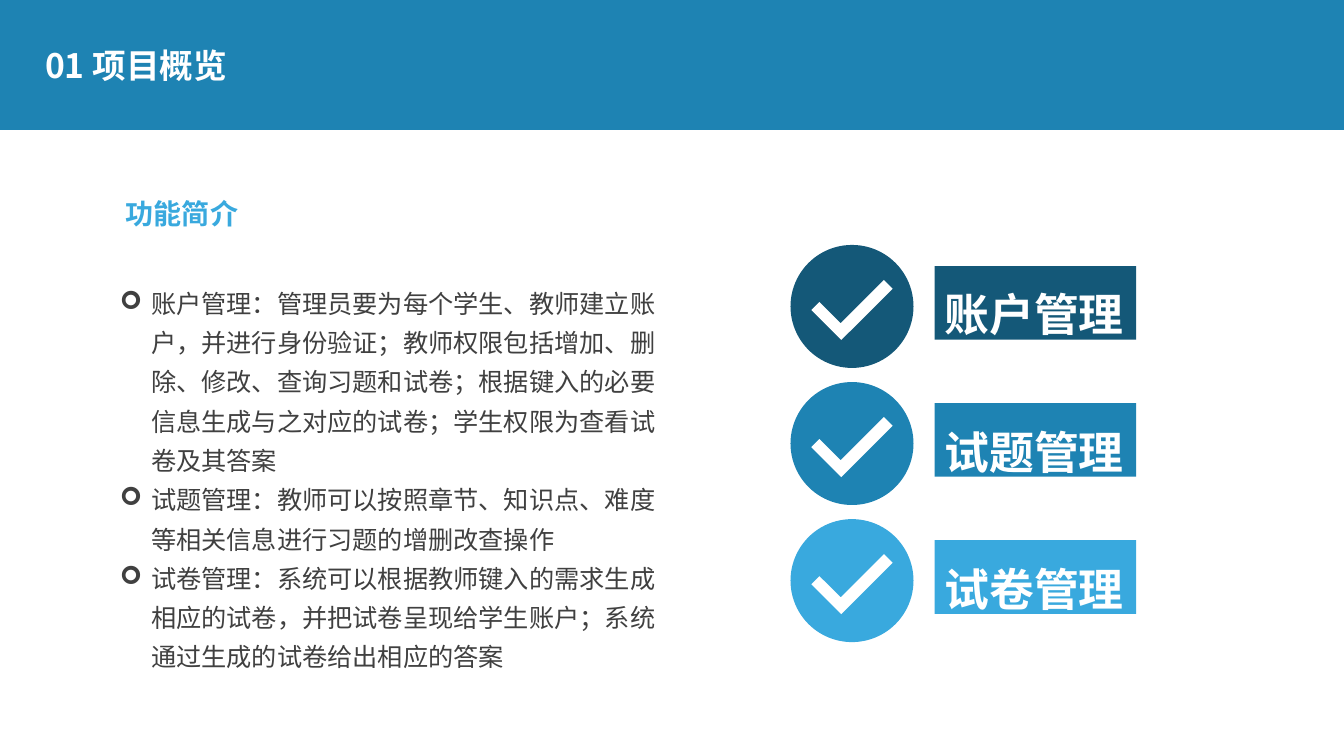
from dataclasses import dataclass

from lxml import etree
from pptx import Presentation
from pptx.dml.color import RGBColor
from pptx.enum.shapes import MSO_SHAPE
from pptx.enum.text import MSO_ANCHOR, MSO_AUTO_SIZE, PP_ALIGN
from pptx.oxml.ns import qn
from pptx.shapes.autoshape import Shape
from pptx.slide import Slide
from pptx.util import Inches, Pt

RECTANGLE = MSO_SHAPE.RECTANGLE
OVAL = MSO_SHAPE.OVAL
CORNER = MSO_SHAPE.CORNER
TOP = MSO_ANCHOR.TOP
MIDDLE = MSO_ANCHOR.MIDDLE
GROW = MSO_AUTO_SIZE.SHAPE_TO_FIT_TEXT
FIXED = MSO_AUTO_SIZE.NONE
LEFT = PP_ALIGN.LEFT

WHITE = RGBColor(0xFF, 0xFF, 0xFF)
NAVY = RGBColor(0x14, 0x58, 0x78)
BLUE = RGBColor(0x1E, 0x83, 0xB3)
SKY = RGBColor(0x39, 0xA9, 0xDE)
GRAY = RGBColor(0x40, 0x40, 0x40)

FONT = "Noto Sans CJK SC"
BULLET = "➢"
BULLET_INDENT = Inches(0.31)
FEATURE_TOP = 2.43
FEATURE_PITCH = 1.36


@dataclass(frozen=True)
class Feature:
    label: str
    color: RGBColor


FEATURES = [
    Feature("账户管理", NAVY),
    Feature("试题管理", BLUE),
    Feature("试卷管理", SKY),
]

DESCRIPTIONS = [
    "账户管理：管理员要为每个学生、教师建立账户，并进行身份验证；教师权限包括增加、删除、修改、查询习题和试卷；"
    "根据键入的必要信息生成与之对应的试卷；学生权限为查看试卷及其答案",
    "试题管理：教师可以按照章节、知识点、难度等相关信息进行习题的增删改查操作",
    "试卷管理：系统可以根据教师键入的需求生成相应的试卷，并把试卷呈现给学生账户；系统通过生成的试卷给出相应的答案",
]


def write_text(shape: Shape, lines: list[str], *, size: float, color: RGBColor,
               bold: bool = False, spacing: float = 1.3, bullet: str = "",
               wrap: bool = False, anchor: MSO_ANCHOR = TOP,
               auto_size: MSO_AUTO_SIZE = GROW) -> None:
    frame = shape.text_frame
    frame.word_wrap = wrap
    frame.auto_size = auto_size
    frame.vertical_anchor = anchor
    for index, line in enumerate(lines):
        paragraph = frame.paragraphs[0] if index == 0 else frame.add_paragraph()
        paragraph.alignment = LEFT
        paragraph.line_spacing = spacing
        if bullet:
            properties = paragraph._p.get_or_add_pPr()
            properties.set("marL", str(BULLET_INDENT))
            properties.set("indent", str(-BULLET_INDENT))
            etree.SubElement(properties, qn("a:buFont"), typeface="Wingdings")
            etree.SubElement(properties, qn("a:buChar"), char=bullet)
        run = paragraph.add_run()
        run.text = line
        run.font.size = Pt(size)
        run.font.bold = bold
        run.font.color.rgb = color
        run.font.name = FONT
        etree.SubElement(run.font._element, qn("a:ea"), typeface=FONT)


def add_block(slide: Slide, kind: MSO_SHAPE, left: float, top: float,
              width: float, height: float, color: RGBColor) -> Shape:
    block = slide.shapes.add_shape(
        kind, Inches(left), Inches(top), Inches(width), Inches(height))
    block.shadow.inherit = False
    block.fill.solid()
    block.fill.fore_color.rgb = color
    block.line.fill.background()
    return block


def add_text_box(slide: Slide, left: float, top: float,
                 width: float, height: float) -> Shape:
    return slide.shapes.add_textbox(
        Inches(left), Inches(top), Inches(width), Inches(height))


def add_feature(slide: Slide, feature: Feature, top: float) -> None:
    add_block(slide, OVAL, 7.84, top, 1.22, 1.22, feature.color)
    check = add_block(slide, CORNER, 8.09, top + 0.33, 0.72, 0.42, WHITE)
    check.adjustments[0] = 0.29
    check.adjustments[1] = 0.27
    check.rotation = 315
    label = add_block(slide, RECTANGLE, 9.27, top + 0.21, 2, 0.73, feature.color)
    write_text(label, [feature.label], size=32, color=WHITE, bold=True)


def main() -> None:
    presentation = Presentation()
    presentation.slide_width = Inches(13.33)
    presentation.slide_height = Inches(7.5)
    slide = presentation.slides.add_slide(presentation.slide_layouts[6])
    slide.background.fill.solid()
    slide.background.fill.fore_color.rgb = BLUE

    add_block(slide, RECTANGLE, 0, 1.29, 13.33, 6.21, WHITE)
    heading = add_text_box(slide, 0.35, 0.28, 5.8, 0.79)
    write_text(heading, ["01 项目概览"], size=24, color=WHITE, bold=True,
               spacing=0.9, wrap=True, anchor=MIDDLE, auto_size=FIXED)
    descriptions = add_text_box(slide, 1.09, 2.72, 5.58, 4)
    write_text(descriptions, DESCRIPTIONS, size=18, color=GRAY,
               bullet=BULLET, wrap=True)
    introduction = add_text_box(slide, 1.15, 1.8, 1.32, 0.5)
    write_text(introduction, ["功能简介"], size=20, color=SKY, bold=True)
    for index, feature in enumerate(FEATURES):
        add_feature(slide, feature, FEATURE_TOP + index * FEATURE_PITCH)

    presentation.save("out.pptx")


if __name__ == "__main__":
    main()
